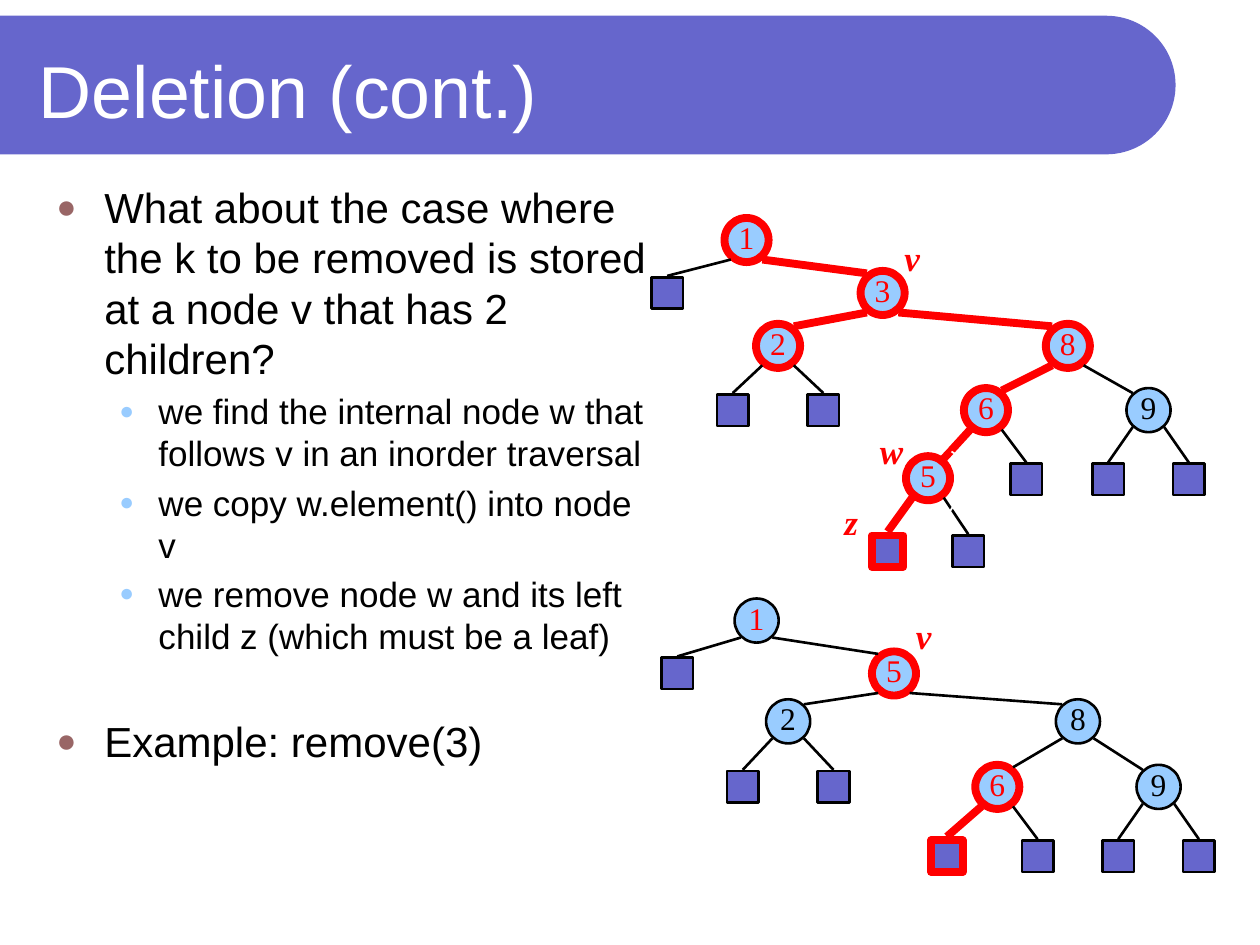
from lxml.etree import SubElement
from pptx import Presentation
from pptx.dml.color import RGBColor
from pptx.enum.dml import MSO_LINE
from pptx.enum.shapes import MSO_CONNECTOR, MSO_SHAPE
from pptx.enum.text import MSO_ANCHOR, MSO_AUTO_SIZE, PP_ALIGN
from pptx.oxml.ns import qn
from pptx.util import Inches, Pt

INDIGO = RGBColor(0x66, 0x66, 0xCC)
SKY = RGBColor(0x99, 0xCC, 0xFF)
MAUVE = RGBColor(0x99, 0x66, 0x66)
RED = RGBColor(0xFF, 0, 0)
BLACK = RGBColor(0, 0, 0)
WHITE = RGBColor(0xFF, 0xFF, 0xFF)
SERIF, SANS = "Times New Roman", "Arial"
NODE, LEAF = 0.35, 0.25

# Content: level, text, space before
TITLE = "Deletion (cont.)"
BODY = [
    (0, "What about the case where the k to be removed is stored at a node v "
        "that has 2 children?", 0),
    (1, "we find the internal node w that follows v in an inorder traversal", 4),
    (1, "we copy w.element() into node v", 4),
    (1, "we remove node w and its left child z (which must be a leaf)", 4),
    (0, "Example: remove(3)", 34),
]
# Level: size, left margin, hanging indent, bullet colour, bullet percent
LEVELS = [(24, 0.38, 0.38, MAUVE, 80), (20, 0.81, 0.31, SKY, 70)]

# Each tree: inner nodes (left, top), leaves (parent, left, top),
# edges between inner nodes, marked items, keys in red
BEFORE = dict(
    nodes={"1": (5.75, 1.73), "3": (6.83, 2.15), "2": (6, 2.57),
           "8": (8.3, 2.57), "6": (7.65, 3.08), "9": (8.94, 3.08),
           "5": (7.19, 3.62)},
    leaves=[("1", 5.17, 2.2), ("2", 5.69, 3.13), ("2", 6.41, 3.13),
            ("6", 8.02, 3.68), ("9", 8.67, 3.68), ("9", 9.31, 3.68),
            ("5", 6.92, 4.25), ("5", 7.56, 4.25)],
    edges=["13", "32", "38", "86", "89", "65"],
    hot="132865", hotleaf=6, red="132865")
AFTER = dict(
    nodes={"1": (5.83, 4.75), "5": (6.92, 5.17), "2": (6.08, 5.55),
           "8": (8.38, 5.55), "6": (7.74, 6.07), "9": (9.02, 6.07)},
    leaves=[("1", 5.25, 5.22), ("2", 5.77, 6.12), ("2", 6.49, 6.12),
            ("6", 7.39, 6.67), ("6", 8.11, 6.67), ("9", 8.75, 6.67),
            ("9", 9.39, 6.67)],
    edges=["15", "52", "58", "86", "89"],
    hot="56", hotleaf=3, red="156")
MARKS = [("v", 7.08, 1.83, 0.32), ("w", 6.88, 3.36, 0.39),
         ("z", 6.6, 3.92, 0.31), ("v", 7.17, 4.83, 0.32)]

deck = Presentation()
deck.slide_width, deck.slide_height = Inches(10), Inches(7.5)
slide = deck.slides.add_slide(deck.slide_layouts[6])
shapes = slide.shapes


def stroke(line, hot):
    line.color.rgb = RED if hot else BLACK
    line.width = Pt(4.5 if hot else 1.5)


def style(para, size, font, ink):
    para.font.size = Pt(size)
    para.font.name = font
    para.font.color.rgb = ink


def block(kind, x, y, w, h, fill):
    shape = shapes.add_shape(kind, Inches(x), Inches(y), Inches(w), Inches(h))
    shape.shadow.inherit = False
    if fill is None:
        shape.fill.background()
    else:
        shape.fill.solid()
        shape.fill.fore_color.rgb = fill
    return shape


def edge(x1, y1, x2, y2, hot):
    link = shapes.add_connector(MSO_CONNECTOR.STRAIGHT, Inches(x1), Inches(y1),
                                Inches(x2), Inches(y2))
    stroke(link.line, hot)
    SubElement(link._element.spPr, qn("a:effectLst"))


def draw(tree):
    nodes, hots = tree["nodes"], tree["hot"]
    for key, (x, y) in nodes.items():
        ball = block(MSO_SHAPE.OVAL, x, y, NODE, NODE, SKY)
        stroke(ball.line, key in hots)
        frame = ball.text_frame
        frame.margin_left = frame.margin_right = frame.margin_top = 0
        frame.margin_bottom = Inches(0.05)
        frame.word_wrap = False
        frame.vertical_anchor = MSO_ANCHOR.MIDDLE
        para = frame.paragraphs[0]
        para.text = key
        para.alignment = PP_ALIGN.CENTER
        style(para, 18, SERIF, RED if key in tree["red"] else BLACK)

    # Edges leave and enter a node at its diagonal points
    def port(key, side, down):
        x, y = nodes[key]
        rise = 0.155 if key in hots else 0.135
        return x + NODE / 2 + side * 0.125, y + NODE / 2 + down * rise

    for top, low in tree["edges"]:
        side = 1 if nodes[low][0] > nodes[top][0] else -1
        edge(*port(top, side, 1), *port(low, -side, -1),
             top in hots and low in hots)
    for i, (top, x, y) in enumerate(tree["leaves"]):
        hot = i == tree["hotleaf"]
        box = block(MSO_SHAPE.RECTANGLE, x, y, LEAF, LEAF, INDIGO)
        stroke(box.line, hot)
        side = 1 if x > nodes[top][0] else -1
        edge(*port(top, side, 1), x + LEAF / 2, y - (0.03 if hot else 0.01), hot)


# Title band, rounded on the right
band = block(MSO_SHAPE.ROUND_2_SAME_RECTANGLE, 4.115, -3.99, 1.1, 9.33, INDIGO)
band.rotation = 90
band.adjustments[0] = 0.5
band.line.fill.background()

# Trees
for tree in (BEFORE, AFTER):
    draw(tree)

# Node labels
for text, x, y, w in MARKS:
    frame = shapes.add_textbox(Inches(x), Inches(y), Inches(w),
                               Inches(0.43)).text_frame
    frame.word_wrap = False
    frame.auto_size = MSO_AUTO_SIZE.SHAPE_TO_FIT_TEXT
    para = frame.paragraphs[0]
    para.text = text
    para.alignment = PP_ALIGN.CENTER
    style(para, 20, SERIF, RED)
    para.font.bold = para.font.italic = True

# Dashed outline around the removed part
ring = block(MSO_SHAPE.ROUNDED_RECTANGLE, 6.49, 3.61, 1.21, 0.81, None)
ring.rotation = 300.8
ring.adjustments[0] = 0.29
ring.line.color.rgb = WHITE
ring.line.width = Pt(1)
ring.line.dash_style = MSO_LINE.LONG_DASH

# Title
frame = shapes.add_textbox(Inches(0.21), Inches(0.21), Inches(8.77),
                           Inches(1)).text_frame
frame.word_wrap = True
frame.vertical_anchor = MSO_ANCHOR.MIDDLE
frame.text = TITLE
style(frame.paragraphs[0], 42, SANS, WHITE)

# Bulleted text
frame = shapes.add_textbox(Inches(0.35), Inches(1.39), Inches(4.9),
                           Inches(5.75)).text_frame
frame.word_wrap = True
for i, (level, text, gap) in enumerate(BODY):
    para = frame.paragraphs[0] if i == 0 else frame.add_paragraph()
    size, left, hang, tint, part = LEVELS[level]
    para.text = text
    para.level = level
    para.space_before = Pt(gap)
    props = para._p.get_or_add_pPr()
    props.set("marL", str(Inches(left)))
    props.set("indent", str(-Inches(hang)))
    SubElement(SubElement(props, qn("a:buClr")), qn("a:srgbClr"), val=str(tint))
    SubElement(props, qn("a:buSzPct"), val=str(part * 1000))
    SubElement(props, qn("a:buFont"), typeface=SANS)
    SubElement(props, qn("a:buChar"), char="●")
    style(para, size, SANS, BLACK)

deck.save("out.pptx")
